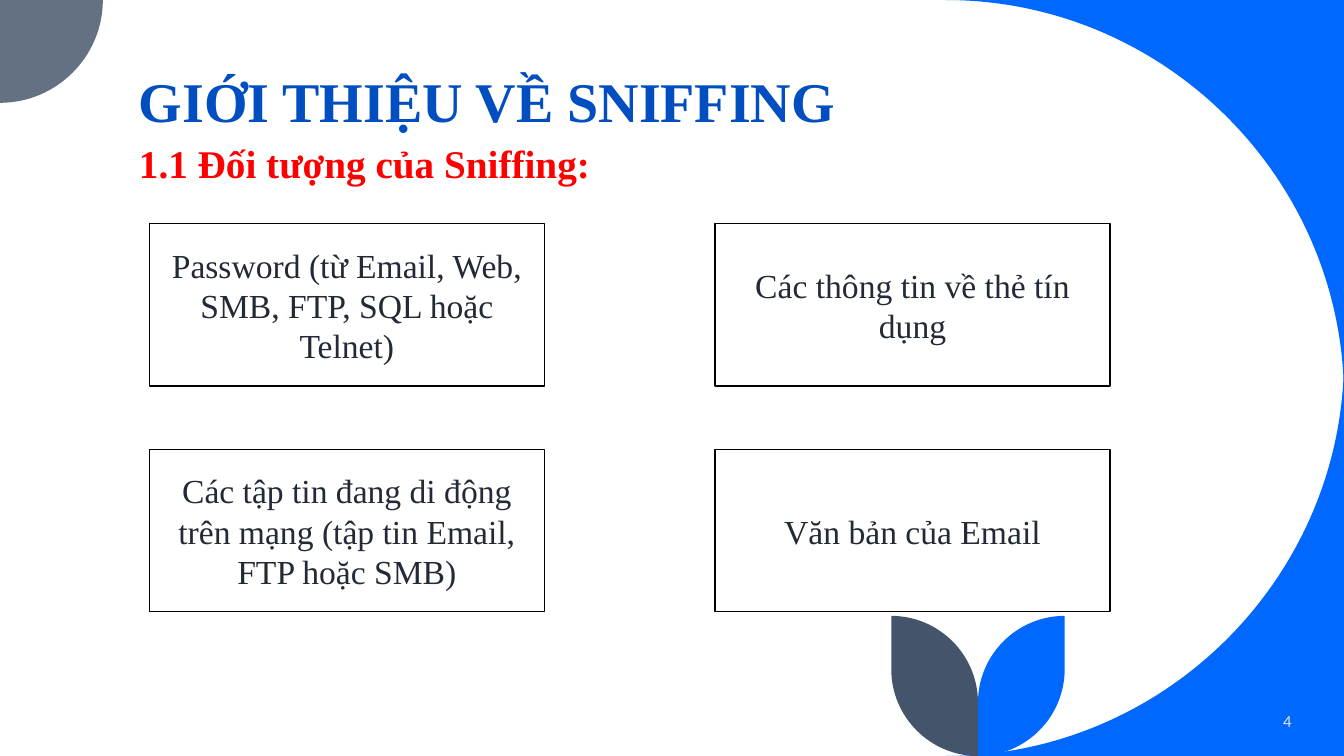
from dataclasses import dataclass

from lxml.etree import SubElement
from pptx import Presentation
from pptx.dml.color import RGBColor
from pptx.enum.shapes import MSO_SHAPE
from pptx.enum.text import MSO_ANCHOR, PP_ALIGN
from pptx.oxml.ns import qn
from pptx.util import Inches, Pt


@dataclass(frozen=True)
class Theme:
    serif: str = "Times New Roman"
    sans: str = "Calibri"
    white: str = "FFFFFF"
    border: str = "000000"
    blue: str = "0068FF"
    slate: str = "637183"
    navy: str = "44546A"
    title: str = "004EBF"
    subtitle: str = "FF0000"
    body: str = "222A35"
    number: str = "DAE5EF"
    title_size: int = 40
    subtitle_size: int = 28
    body_size: int = 24
    number_size: int = 12


THEME = Theme()
WIDTH, HEIGHT = 13.33, 7.5
ARC_PULL = 0.55  # handle length of a quarter circle, as a share of its radius
TARGETS = [
    ["Password (từ Email, Web, SMB, FTP, SQL hoặc Telnet)",
     "Các thông tin về thẻ tín dụng"],
    ["Các tập tin đang di động trên mạng (tập tin Email, FTP hoặc SMB)",
     "Văn bản của Email"],
]


def toward(point, corner):
    return tuple(p + ARC_PULL * (c - p) for p, c in zip(point, corner))


def add_outline(slide, color, start, *steps):
    """A step is [end] for a line, or [corner, end] for a quarter arc."""
    segments, here = [], start
    for *corner, end in steps:
        handles = [toward(here, corner[0]), toward(end, corner[0])] if corner else []
        segments.append(handles + [end])
        here = end
    builder = slide.shapes.build_freeform(*map(Inches, start), scale=1.0)
    builder.add_line_segments(
        [tuple(map(Inches, point)) for segment in segments for point in segment])
    outline = builder.convert_to_shape()
    outline.shadow.inherit = False
    outline.fill.solid()
    outline.fill.fore_color.rgb = RGBColor.from_string(color)
    outline.line.fill.background()

    # Turn each arc's three points into one Bézier segment
    contour = outline._element.xpath(".//a:path")[0]
    lines = iter(contour.findall(qn("a:lnTo")))
    for segment in segments:
        group = [next(lines) for _ in segment]
        curve = SubElement(contour, qn("a:cubicBezTo" if len(group) == 3 else "a:lnTo"))
        for line in group:
            curve.append(line[0])
            contour.remove(line)
    SubElement(contour, qn("a:close"))


def write(frame, text, size, color, font=THEME.serif, bold=False,
          align=PP_ALIGN.LEFT, anchor=MSO_ANCHOR.MIDDLE):
    frame.word_wrap = True
    frame.vertical_anchor = anchor
    paragraph = frame.paragraphs[0]
    paragraph.alignment = align
    run = paragraph.add_run()
    run.text = text
    run.font.name = font
    run.font.size = Pt(size)
    run.font.bold = bold
    run.font.color.rgb = RGBColor.from_string(color)
    return paragraph


def add_text(slide, box, *args, **kwargs):
    frame = slide.shapes.add_textbox(*map(Inches, box)).text_frame
    return write(frame, *args, **kwargs)


def add_curved_edge(slide, left, top, right, bottom):
    """Two blue corners left over by a large round edge."""
    radius = right - left
    for edge, middle in ((top, top + radius), (bottom, bottom - radius)):
        add_outline(slide, THEME.blue, (right, edge), [(left, edge)],
                    [(right, edge), (right, middle)])


def add_corner_disc(slide, left, top, radius):
    right, bottom = left + radius, top + radius
    add_outline(slide, THEME.slate, (left, top), [(right, top)],
                [(right, bottom), (left, bottom)])


def add_leaves(slide, stem, top, leaf_width, bottom):
    """A pair of mirrored leaves that meet at the stem."""
    for side, color in ((1, THEME.blue), (-1, THEME.navy)):
        tip = stem + side * leaf_width
        add_outline(slide, color, (tip, top), [(tip, bottom - leaf_width)],
                    [(tip, bottom), (stem, bottom)], [(stem, top + leaf_width)],
                    [(stem, top), (tip, top)])


def add_heading(slide, left, top, width, height):
    title_height = height * 0.62
    title = add_text(slide, (left, top, width, title_height), "GIỚI THIỆU VỀ SNIFFING",
                     THEME.title_size, THEME.title, bold=True, anchor=MSO_ANCHOR.BOTTOM)
    subtitle = add_text(slide, (left, top + title_height, width, height - title_height),
                        "1.1 Đối tượng của Sniffing:", THEME.subtitle_size,
                        THEME.subtitle, bold=True, anchor=MSO_ANCHOR.TOP)
    title.line_spacing = subtitle.line_spacing = 0.9
    subtitle.space_before = Pt(10)


def add_target_grid(slide, left, top, width, height, card_width, card_height):
    """Cards spread evenly so the outer ones touch the box."""
    column_step = (width - card_width) / (len(TARGETS[0]) - 1)
    row_step = (height - card_height) / (len(TARGETS) - 1)
    for row, targets in enumerate(TARGETS):
        for column, target in enumerate(targets):
            box = (left + column * column_step, top + row * row_step, card_width, card_height)
            card = slide.shapes.add_shape(MSO_SHAPE.RECTANGLE, *map(Inches, box))
            card.shadow.inherit = False
            card.fill.solid()
            card.fill.fore_color.rgb = RGBColor.from_string(THEME.white)
            card.line.color.rgb = RGBColor.from_string(THEME.border)
            card.line.width = Pt(1)
            write(card.text_frame, target, THEME.body_size, THEME.body, align=PP_ALIGN.CENTER)


def main():
    deck = Presentation()
    deck.slide_width, deck.slide_height = Inches(WIDTH), Inches(HEIGHT)
    slide = deck.slides.add_slide(deck.slide_layouts[6])

    # Background decoration
    add_curved_edge(slide, 9.38, 0, WIDTH, HEIGHT)
    add_corner_disc(slide, 0, 0, 1.02)
    add_leaves(slide, 9.7, 6.11, 0.86, HEIGHT)

    # Slide number
    add_text(slide, (11.1, 6.95, 1.81, 0.4), "4", THEME.number_size, THEME.number,
             font=THEME.sans, align=PP_ALIGN.RIGHT)

    # Content
    add_heading(slide, 1.28, 0.42, 10.69, 1.56)
    add_target_grid(slide, 1.48, 2.22, 9.53, 3.85, 3.92, 1.61)

    deck.save("out.pptx")


if __name__ == "__main__":
    main()
